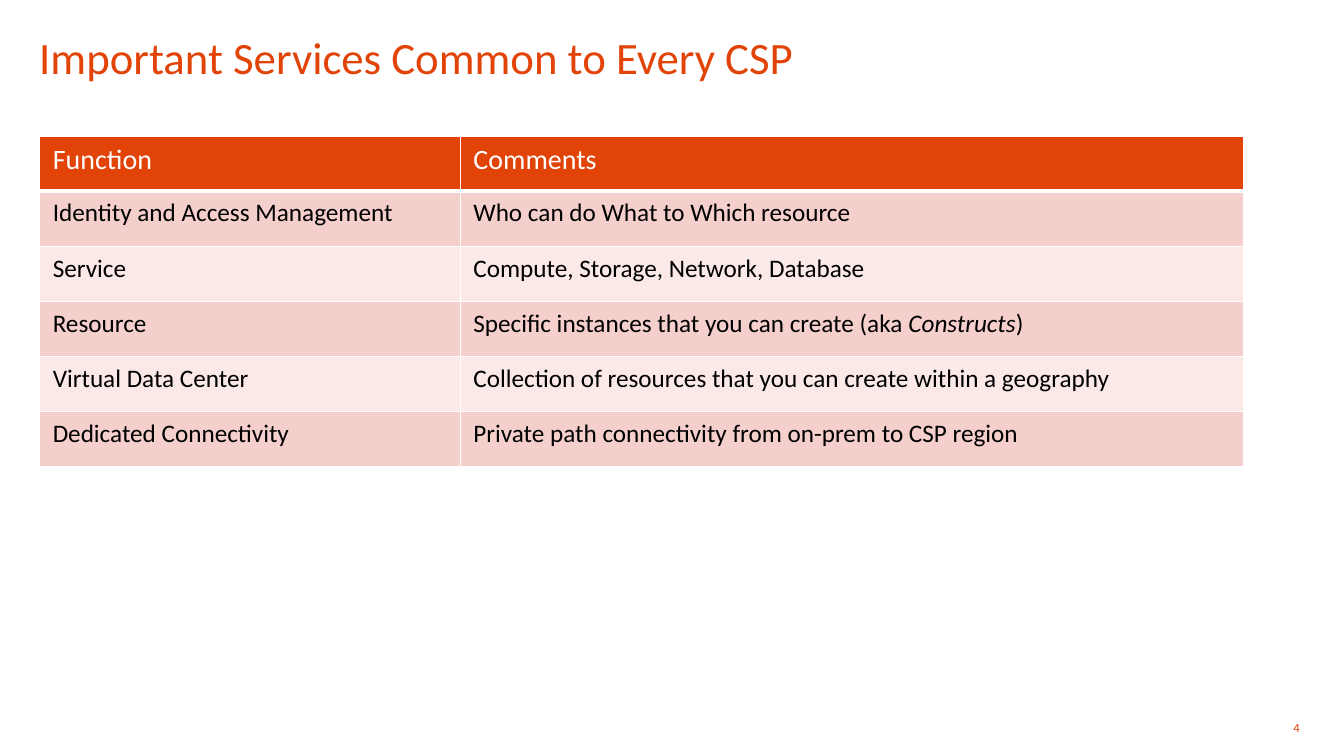
from pptx import Presentation
from pptx.dml.color import RGBColor
from pptx.enum.shapes import MSO_SHAPE
from pptx.enum.text import MSO_ANCHOR, PP_ALIGN
from pptx.oxml import parse_xml
from pptx.oxml.ns import nsdecls
from pptx.util import Cm, Pt

ORANGE, WHITE, BLACK = "E24307", "FFFFFF", "000000"
BANDS = ("F4CFCC", "FAE9E7")


def color(value):
    return RGBColor.from_string(value)


class SlideBuilder:
    font_name = "Calibri"

    def __init__(self, slide):
        self.slide = slide

    def style(self, paragraph, size, text_color):
        paragraph.font.name = self.font_name
        paragraph.font.size = Pt(size)
        paragraph.font.color.rgb = color(text_color)

    def title(self, text, left, top, width, height):
        shape = self.slide.shapes.add_textbox(Cm(left), Cm(top), Cm(width), Cm(height))
        frame = shape.text_frame
        frame.word_wrap = True
        frame.vertical_anchor = MSO_ANCHOR.MIDDLE
        paragraph = frame.paragraphs[0]
        paragraph.text = text
        paragraph.line_spacing = 0.9
        self.style(paragraph, 32, ORANGE)

    def page_number(self, text, left, top, width, height):
        shape = self.slide.shapes.add_shape(
            MSO_SHAPE.ROUNDED_RECTANGLE, Cm(left), Cm(top), Cm(width), Cm(height))
        shape.adjustments[0] = 0.5
        shape.shadow.inherit = False
        shape.fill.background()
        shape.line.fill.background()
        frame = shape.text_frame
        frame.vertical_anchor = MSO_ANCHOR.MIDDLE
        paragraph = frame.paragraphs[0]
        paragraph.text = text
        paragraph.alignment = PP_ALIGN.CENTER
        self.style(paragraph, 9, ORANGE)

    def border(self, cell, side, width):
        # Borders come before the fill in the cell properties
        properties = cell._tc.get_or_add_tcPr()
        line = parse_xml(
            f'<a:{side} {nsdecls("a")} w="{Pt(width)}"><a:solidFill>'
            f'<a:srgbClr val="{WHITE}"/></a:solidFill></a:{side}>')
        position = len(properties.findall("{*}*")) - 1
        properties.insert(position, line)

    def cell(self, cell, parts, size, text_color, fill, top_width, bottom_width):
        cell.fill.solid()
        cell.fill.fore_color.rgb = color(fill)
        cell.margin_left = cell.margin_right = Cm(0.33)
        cell.margin_top = cell.margin_bottom = Cm(0.17)
        paragraph = cell.text_frame.paragraphs[0]
        self.style(paragraph, size, text_color)
        for text, italic in parts:
            run = paragraph.add_run()
            run.text = text
            if italic:
                run.font.italic = True
        widths = {"lnL": 1, "lnR": 1, "lnT": top_width, "lnB": bottom_width}
        for side, width in widths.items():
            self.border(cell, side, width)

    def table(self, rows, left, top, column_widths, row_height):
        shape = self.slide.shapes.add_table(
            len(rows), len(column_widths), Cm(left), Cm(top),
            Cm(sum(column_widths)), Cm(row_height * len(rows)))
        table = shape.table
        for column, width in zip(table.columns, column_widths):
            column.width = Cm(width)
        for index, row in enumerate(rows):
            table.rows[index].height = Cm(row_height)
            header = index == 0
            size, text_color = (20, WHITE) if header else (18, BLACK)
            fill = ORANGE if header else BANDS[(index - 1) % 2]
            for column, content in enumerate(row):
                parts = [(content, False)] if isinstance(content, str) else content
                self.cell(table.cell(index, column), parts, size, text_color, fill,
                          3 if index == 1 else 1, 3 if header else 1)


def main():
    presentation = Presentation()
    presentation.slide_width, presentation.slide_height = Cm(33.87), Cm(19.05)
    slide = presentation.slides.add_slide(presentation.slide_layouts[6])
    builder = SlideBuilder(slide)

    # Heading
    builder.title("Important Services Common to Every CSP", 0.74, 0.69, 30.2, 1.63)

    # Services table
    builder.table([
        ("Function", "Comments"),
        ("Identity and Access Management", "Who can do What to Which resource"),
        ("Service", "Compute, Storage, Network, Database"),
        ("Resource", [("Specific instances that you can create (aka ", False),
                      ("Constructs", True), (")", False)]),
        ("Virtual Data Center",
         "Collection of resources that you can create within a geography"),
        ("Dedicated Connectivity",
         "Private path connectivity from on-prem to CSP region"),
    ], 1, 3.43, (10.6, 19.75), 1.39)

    # Page number
    builder.page_number("4", 32.08, 17.93, 1.19, 0.81)

    presentation.save("out.pptx")


if __name__ == "__main__":
    main()
